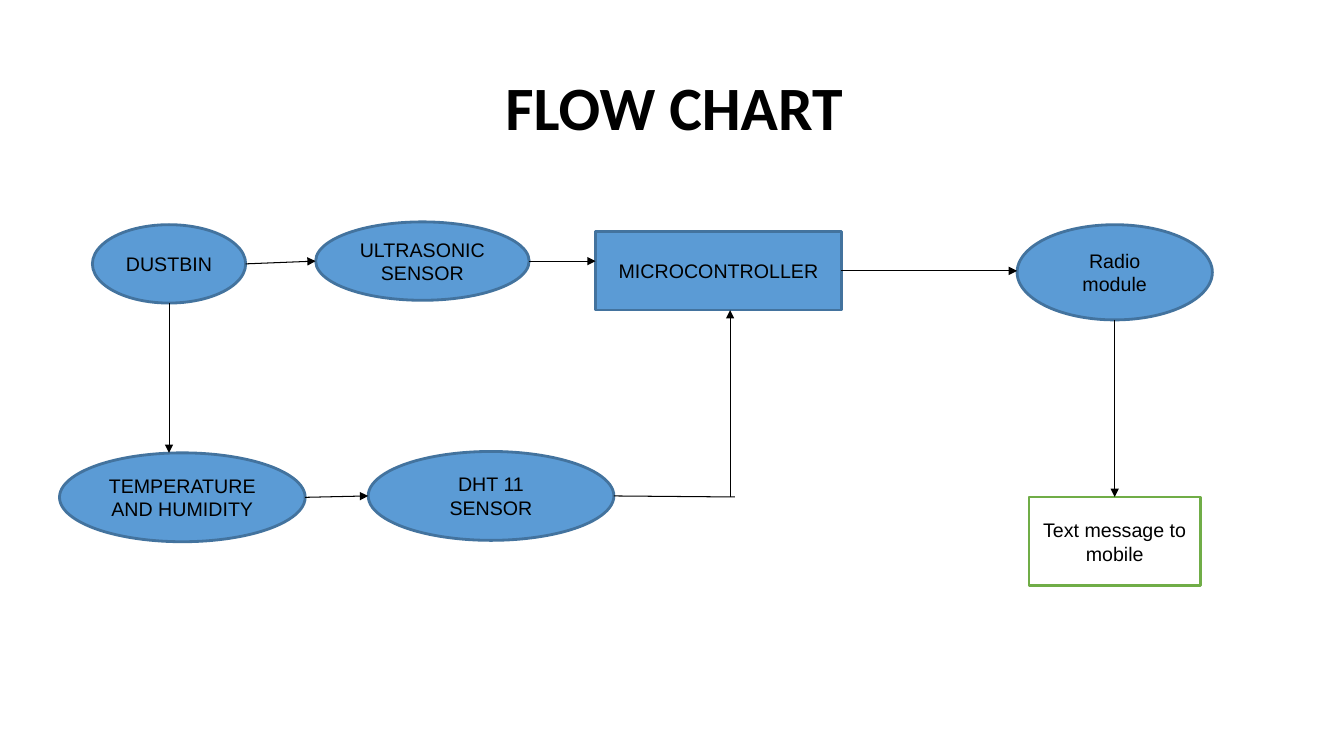
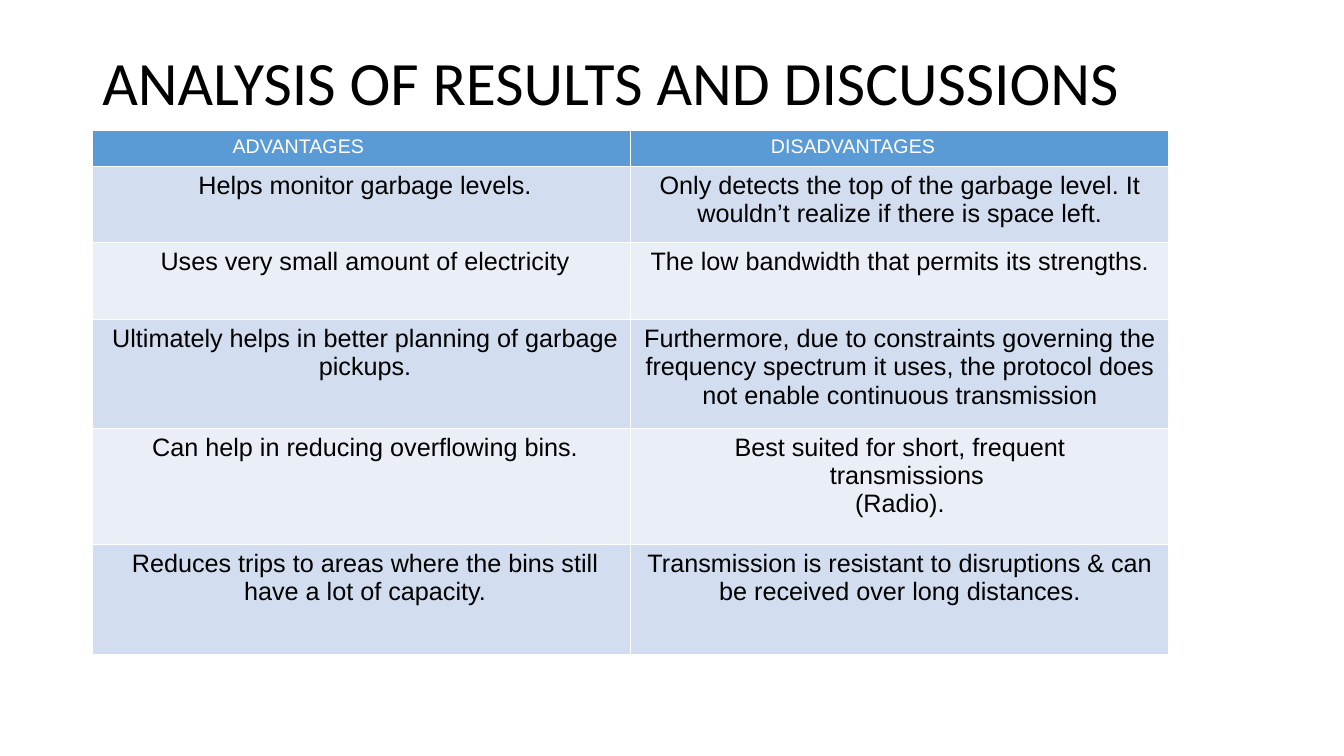
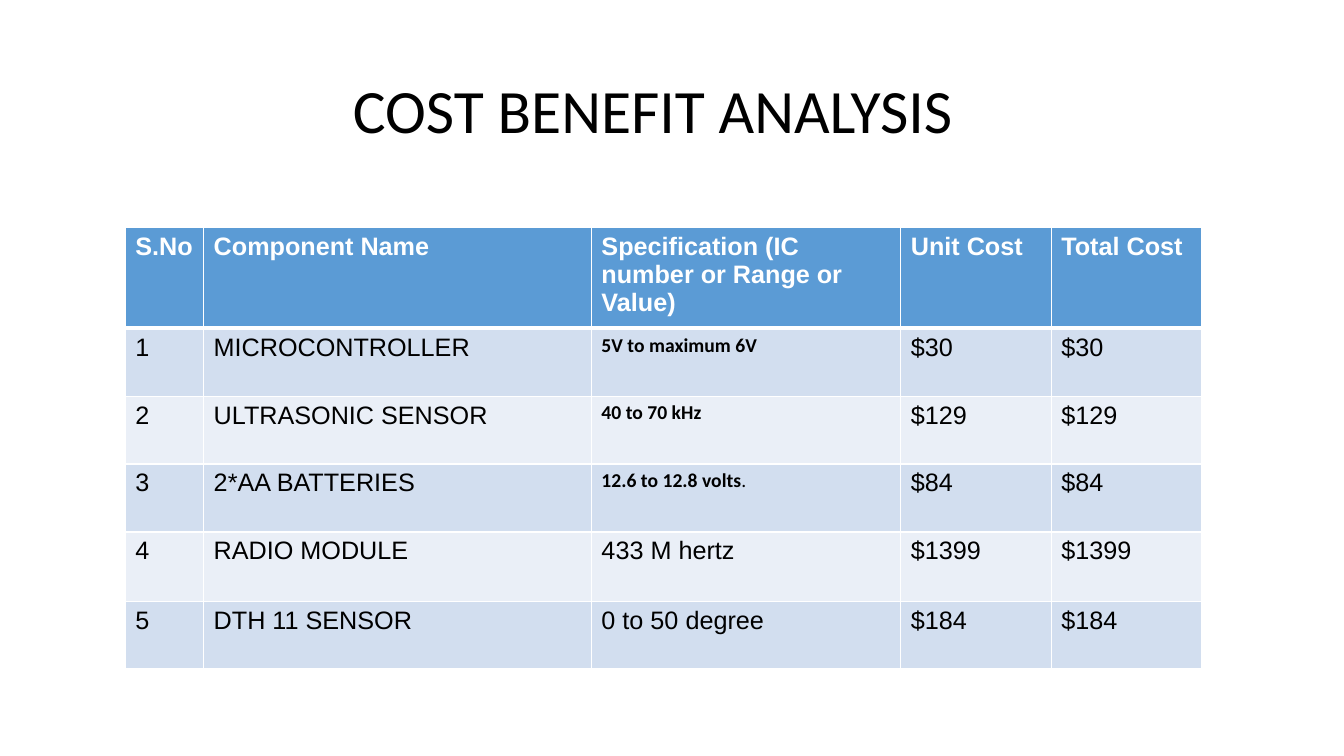
import dataclasses
import itertools
from typing import Any, Optional

import lxml.etree
import pptx
import pptx.dml.color
import pptx.enum.shapes
import pptx.enum.text
import pptx.oxml.ns
import pptx.slide
import pptx.util

Pt = pptx.util.Pt
ShapeKind = pptx.enum.shapes.MSO_SHAPE
Align = pptx.enum.text.PP_ALIGN
qn = pptx.oxml.ns.qn


@dataclasses.dataclass(frozen=True)
class TextStyle:
    size: float
    font: str = "Arial"
    color: str = "000000"
    bold: bool = False


@dataclasses.dataclass(frozen=True)
class Theme:
    black: str = "000000"
    white: str = "FFFFFF"
    blue: str = "5B9BD5"
    blue_edge: str = "43739E"
    green: str = "70AD47"
    bands: tuple[str, str] = ("D2DEEF", "EAEFF7")
    title: TextStyle = TextStyle(44, "Calibri")
    title_bold: TextStyle = TextStyle(44, "Calibri", bold=True)
    node: TextStyle = TextStyle(14)
    body: TextStyle = TextStyle(18)
    rating: TextStyle = TextStyle(14, "Calibri", bold=True)
    small_header: TextStyle = TextStyle(14, color="FFFFFF")
    header: TextStyle = TextStyle(18, color="FFFFFF", bold=True)
    node_line: float = 2
    arrow_line: float = 0.75
    grid_line: float = 1


THEME = Theme()
LEFT = 66


@dataclasses.dataclass(frozen=True)
class Line:
    """One paragraph; the tail follows the text in regular weight."""
    text: str
    indent: float = 0
    style: TextStyle = THEME.body
    tail: str = ""


@dataclasses.dataclass(frozen=True)
class Node:
    text: str
    left: float
    top: float
    width: float
    height: float
    kind: Any = ShapeKind.OVAL
    fill: str = THEME.blue
    edge: str = THEME.blue_edge

    @property
    def right(self) -> float:
        return self.left + self.width

    @property
    def bottom(self) -> float:
        return self.top + self.height

    @property
    def center_x(self) -> float:
        return self.left + self.width / 2

    @property
    def center_y(self) -> float:
        return self.top + self.height / 2


@dataclasses.dataclass(frozen=True)
class Arrow:
    start: tuple[float, float]
    end: tuple[float, float]
    head: bool = True
    begin_node: Optional[Node] = None
    begin_site: int = 3
    end_node: Optional[Node] = None
    end_site: int = 0


@dataclasses.dataclass(frozen=True)
class TableSpec:
    left: float
    top: float
    columns: tuple[float, ...]
    rows: tuple[float, ...]
    header_rule: float
    align: Any
    cells: list[list[list[Line]]]


def rgb(color: str) -> pptx.dml.color.RGBColor:
    return pptx.dml.color.RGBColor.from_string(color)


def style_run(run: Any, style: TextStyle) -> None:
    run.font.size = Pt(style.size)
    run.font.name = style.font
    run.font.bold = style.bold
    run.font.color.rgb = rgb(style.color)


def write_line(paragraph: Any, line: Line, align: Any) -> None:
    paragraph.text = line.text
    paragraph.alignment = align
    if line.indent:
        paragraph._p.get_or_add_pPr().set("marL", str(Pt(line.indent)))
    style_run(paragraph.runs[0], line.style)
    if line.tail:
        run = paragraph.add_run()
        run.text = line.tail
        style_run(run, dataclasses.replace(line.style, bold=False))


def add_title(slide: pptx.slide.Slide, line: Line, top: float, height: float) -> None:
    box = slide.shapes.add_textbox(Pt(LEFT), Pt(top), Pt(828), Pt(height))
    text_frame = box.text_frame
    text_frame.word_wrap = True
    text_frame.vertical_anchor = pptx.enum.text.MSO_ANCHOR.MIDDLE
    paragraph = text_frame.paragraphs[0]
    write_line(paragraph, line, Align.LEFT)
    paragraph.line_spacing = 0.9


def add_node(slide: pptx.slide.Slide, node: Node) -> Any:
    shape = slide.shapes.add_shape(
        node.kind, Pt(node.left), Pt(node.top), Pt(node.width), Pt(node.height))
    shape.shadow.inherit = False
    shape.fill.solid()
    shape.fill.fore_color.rgb = rgb(node.fill)
    shape.line.color.rgb = rgb(node.edge)
    shape.line.width = Pt(THEME.node_line)
    write_line(shape.text_frame.paragraphs[0], Line(node.text, style=THEME.node), Align.CENTER)
    return shape


def add_arrow(slide: pptx.slide.Slide, arrow: Arrow, shapes: dict[Node, Any]) -> None:
    connector = slide.shapes.add_connector(
        pptx.enum.shapes.MSO_CONNECTOR.STRAIGHT,
        *(Pt(value) for value in arrow.start + arrow.end))
    connector.line.color.rgb = rgb(THEME.black)
    connector.line.width = Pt(THEME.arrow_line)
    properties = connector._element.spPr
    if arrow.head:
        lxml.etree.SubElement(properties.find(qn("a:ln")), qn("a:tailEnd"), type="triangle")
    lxml.etree.SubElement(properties, qn("a:effectLst"))
    if arrow.begin_node:
        connector.begin_connect(shapes[arrow.begin_node], arrow.begin_site)
    if arrow.end_node:
        connector.end_connect(shapes[arrow.end_node], arrow.end_site)


def set_borders(cell: Any, widths: dict[str, float]) -> None:
    properties = cell._tc.get_or_add_tcPr()
    for side, width in widths.items():
        border = lxml.etree.SubElement(properties, qn(f"a:ln{side}"), w=str(Pt(width)))
        fill = lxml.etree.SubElement(border, qn("a:solidFill"))
        lxml.etree.SubElement(fill, qn("a:srgbClr"), val=THEME.white)


def add_table(slide: pptx.slide.Slide, spec: TableSpec) -> None:
    table = slide.shapes.add_table(
        len(spec.rows), len(spec.columns), Pt(spec.left), Pt(spec.top),
        Pt(sum(spec.columns)), Pt(sum(spec.rows))).table
    for column, width in zip(table.columns, spec.columns):
        column.width = Pt(width)
    for row, height in zip(table.rows, spec.rows):
        row.height = Pt(height)
    for row_index, column_index in itertools.product(
            range(len(spec.rows)), range(len(spec.columns))):
        cell = table.cell(row_index, column_index)
        borders = dict.fromkeys("LRTB", THEME.grid_line)
        if row_index == 0:
            borders["B"] = spec.header_rule
        elif row_index == 1:
            borders["T"] = spec.header_rule
        set_borders(cell, borders)
        cell.fill.solid()
        cell.fill.fore_color.rgb = rgb(
            THEME.bands[(row_index - 1) % 2] if row_index else THEME.blue)
        lines = spec.cells[row_index][column_index]
        cell.text_frame.text = "\n".join(line.text for line in lines)
        for paragraph, line in zip(cell.text_frame.paragraphs, lines):
            write_line(paragraph, line, spec.align if row_index else Align.LEFT)


def build_flow_chart(slide: pptx.slide.Slide) -> None:
    add_title(slide, Line("FLOW CHART", 288, THEME.title_bold), 26.5, 104.5)
    dustbin = Node("DUSTBIN", LEFT, 160.5, 109.5, 56)
    ultrasonic = Node("ULTRASONIC SENSOR", 225.5, 158.5, 152.5, 56)
    climate = Node("TEMPERATURE AND HUMIDITY", 42.5, 323.5, 175.5, 63.5)
    dht = Node("DHT 11 SENSOR", 263, 322.5, 175.5, 63.5)
    board = Node("MICROCONTROLLER", 425.5, 165.5, 175.5, 56, ShapeKind.RECTANGLE)
    radio = Node("Radio module", 726.5, 160.5, 139.5, 68)
    message = Node("Text message to mobile", 735, 355, 122.5, 63.5,
                   ShapeKind.RECTANGLE, THEME.white, THEME.green)
    nodes = (dustbin, ultrasonic, climate, dht, board, radio, message)
    shapes = {node: add_node(slide, node) for node in nodes}

    riser_x, riser_y = 521.5, 355
    arrows = (
        Arrow((dustbin.right, dustbin.center_y), (ultrasonic.left, ultrasonic.center_y)),
        Arrow((ultrasonic.right, ultrasonic.center_y), (board.left, ultrasonic.center_y)),
        Arrow((dustbin.center_x, dustbin.bottom), (dustbin.center_x, climate.top)),
        Arrow((climate.right, climate.center_y), (dht.left, dht.center_y)),
        Arrow((dht.right, dht.center_y), (riser_x + 3.5, riser_y), head=False),
        Arrow((riser_x, riser_y), (riser_x, board.bottom)),
        Arrow((board.right, board.center_y), (radio.left, board.center_y), begin_node=board),
        Arrow((radio.center_x, radio.bottom), (message.center_x, message.top), end_node=message),
    )
    for arrow in arrows:
        add_arrow(slide, arrow, shapes)


def build_results(slide: pptx.slide.Slide) -> None:
    add_title(slide, Line("ANALYSIS OF RESULTS AND DISCUSSIONS", style=THEME.title), 29, 64)
    pairs = (
        ("Helps monitor garbage levels.",
         [Line("Only detects the top of the garbage level. It wouldn’t realize "
               "if there is space left.")]),
        ("Uses very small amount of electricity",
         [Line("The low bandwidth that permits its strengths.")]),
        ("Ultimately helps in better planning of garbage pickups.",
         [Line("Furthermore, due to constraints governing the frequency spectrum "
               "it uses, the protocol does not enable continuous transmission")]),
        ("Can help in reducing overflowing bins.",
         [Line("Best suited for short, frequent"), Line("transmissions", 10),
          Line("(Radio).")]),
        ("Reduces trips to areas where the bins still have a lot of capacity.",
         [Line("Transmission is resistant to disruptions & can be received "
               "over long distances.")]),
    )
    header = [[Line(text, 93, THEME.small_header)] for text in ("ADVANTAGES", "DISADVANTAGES")]
    body = [[[Line(advantage, 5)], disadvantage] for advantage, disadvantage in pairs]
    add_table(slide, TableSpec(
        LEFT, 93, (384.5, 384.5), (26, 54, 55.5, 77.5, 83, 78.5),
        THEME.grid_line, Align.CENTER, [header] + body))


def build_costs(slide: pptx.slide.Slide) -> None:
    add_title(slide, Line("COST BENEFIT ANALYSIS", 179, THEME.title), 29, 104.5)
    headings = ("S.No", "Component Name", "Specification (IC number or Range or Value)",
                "Unit Cost", "Total Cost")
    components = (
        ("MICROCONTROLLER", Line("5V to maximum 6V", style=THEME.rating), "$30"),
        ("ULTRASONIC SENSOR", Line("40 to 70 kHz", style=THEME.rating), "$129"),
        ("2*AA BATTERIES", Line("12.6 to 12.8 volts", style=THEME.rating, tail="."), "$84"),
        ("RADIO MODULE", Line("433 M hertz"), "$1399"),
        ("DTH 11 SENSOR", Line("0 to 50 degree"), "$184"),
    )
    header = [[Line(text, style=THEME.header)] for text in headings]
    body = [[[Line(str(number))], [Line(name)], [rating], [Line(cost)], [Line(cost)]]
            for number, (name, rating, cost) in enumerate(components, 1)]
    add_table(slide, TableSpec(
        89.5, 162.5, (56, 277, 221, 107.5, 107.5), (58.5, 48.5, 48.5, 48.5, 49.5, 48.5),
        3, Align.LEFT, [header] + body))


def main() -> None:
    presentation = pptx.Presentation()
    presentation.slide_width = Pt(960)
    presentation.slide_height = Pt(540)
    blank = presentation.slide_layouts[6]
    for build in (build_flow_chart, build_results, build_costs):
        build(presentation.slides.add_slide(blank))
    presentation.save("out.pptx")


if __name__ == "__main__":
    main()
